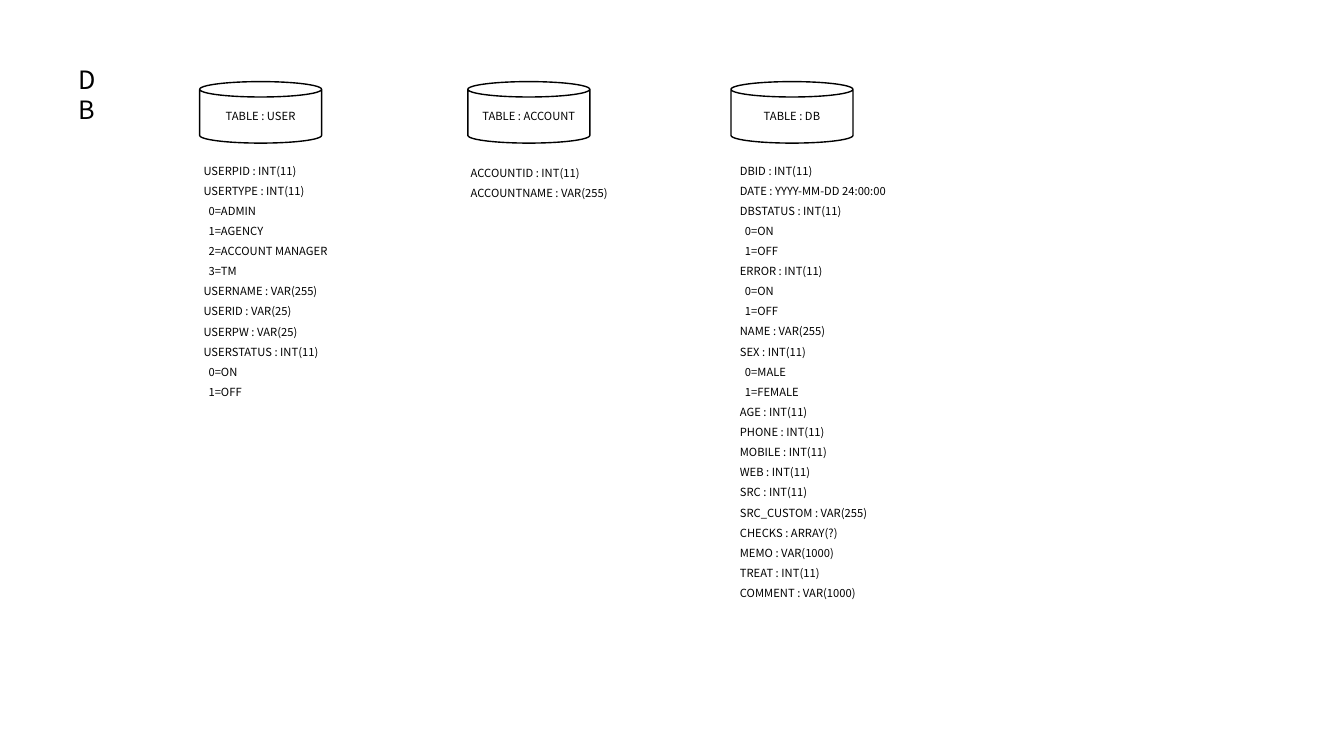
from pptx import Presentation
from pptx.dml.color import RGBColor
from pptx.enum.shapes import MSO_SHAPE
from pptx.enum.text import MSO_ANCHOR, MSO_AUTO_SIZE, PP_ALIGN
from pptx.util import Inches, Pt

COLORS = {"ink": "000000"}
FONT = "Noto Sans CJK KR"
CAN_TOP, CAN_W, CAN_H = 0.81, 1.21, 0.61
CODE_INDENT = 0.05
SWITCH = ["0=ON", "1=OFF"]

# Each table: name, can left, field list box (left, top, width, height), fields
TABLES = [
    ("USER", 1.98, (1.92, 1.51, 1.61, 2.52), [
        "USERPID : INT(11)", "USERTYPE : INT(11)",
        "0=ADMIN", "1=AGENCY", "2=ACCOUNT MANAGER", "3=TM",
        "USERNAME : VAR(255)", "USERID : VAR(25)", "USERPW : VAR(25)",
        "USERSTATUS : INT(11)", *SWITCH]),
    ("ACCOUNT", 4.64, (4.57, 1.53, 1.63, 0.5), [
        "ACCOUNTID : INT(11)", "ACCOUNTNAME : VAR(255)"]),
    ("DB", 7.25, (7.24, 1.51, 2.1, 4.54), [
        "DBID : INT(11)", "DATE : YYYY-MM-DD 24:00:00",
        "DBSTATUS : INT(11)", *SWITCH, "ERROR : INT(11)", *SWITCH,
        "NAME : VAR(255)", "SEX : INT(11)", "0=MALE", "1=FEMALE",
        "AGE : INT(11)", "PHONE : INT(11)", "MOBILE : INT(11)",
        "WEB : INT(11)", "SRC : INT(11)", "SRC_CUSTOM : VAR(255)",
        "CHECKS : ARRAY(?)", "MEMO : VAR(1000)", "TREAT : INT(11)",
        "COMMENT : VAR(1000)"]),
]


def rgb(name):
    return RGBColor.from_string(COLORS[name])


def write(p, text, size, **fmt):
    for key, value in fmt.items():
        setattr(p, key, value)
    r = p.add_run()
    r.text = text
    for key, value in {"name": FONT, "size": Pt(size)}.items():
        setattr(r.font, key, value)
    r.font.color.rgb = rgb("ink")


def add_text(shapes, box, lines, size, **fmt):
    tf = shapes.add_textbox(*map(Inches, box)).text_frame
    tf.word_wrap = True
    tf.auto_size = MSO_AUTO_SIZE.SHAPE_TO_FIT_TEXT
    for i, line in enumerate(lines):
        p = tf.add_paragraph() if i else tf.paragraphs[0]
        write(p, line, size, **fmt)
        # Code values sit slightly inside their field
        if "=" in line:
            p._p.get_or_add_pPr().set("marL", str(Inches(CODE_INDENT)))


def add_can(shapes, left, label):
    box = (left, CAN_TOP, CAN_W, CAN_H)
    s = shapes.add_shape(MSO_SHAPE.CAN, *map(Inches, box))
    s.shadow.inherit = False
    s.fill.background()
    s.line.color.rgb = rgb("ink")
    s.line.width = Pt(1)
    tf = s.text_frame
    tf.word_wrap = True
    tf.vertical_anchor = MSO_ANCHOR.MIDDLE
    write(tf.paragraphs[0], label, 8, alignment=PP_ALIGN.CENTER)


def add_db_table(slide, name, left, box, fields):
    shapes = slide.shapes.add_group_shape().shapes
    add_can(shapes, left, f"TABLE : {name}")
    add_text(shapes, box, fields, 8, line_spacing=1.5)


def main():
    prs = Presentation()
    prs.slide_width, prs.slide_height = Inches(13.33), Inches(7.5)
    slide = prs.slides.add_slide(prs.slide_layouts[6])

    # Heading
    add_text(slide.shapes, (0.68, 0.59, 0.53, 0.4), ["DB"], 18)

    # Database tables
    for table in TABLES:
        add_db_table(slide, *table)

    prs.save("out.pptx")


if __name__ == "__main__":
    main()
